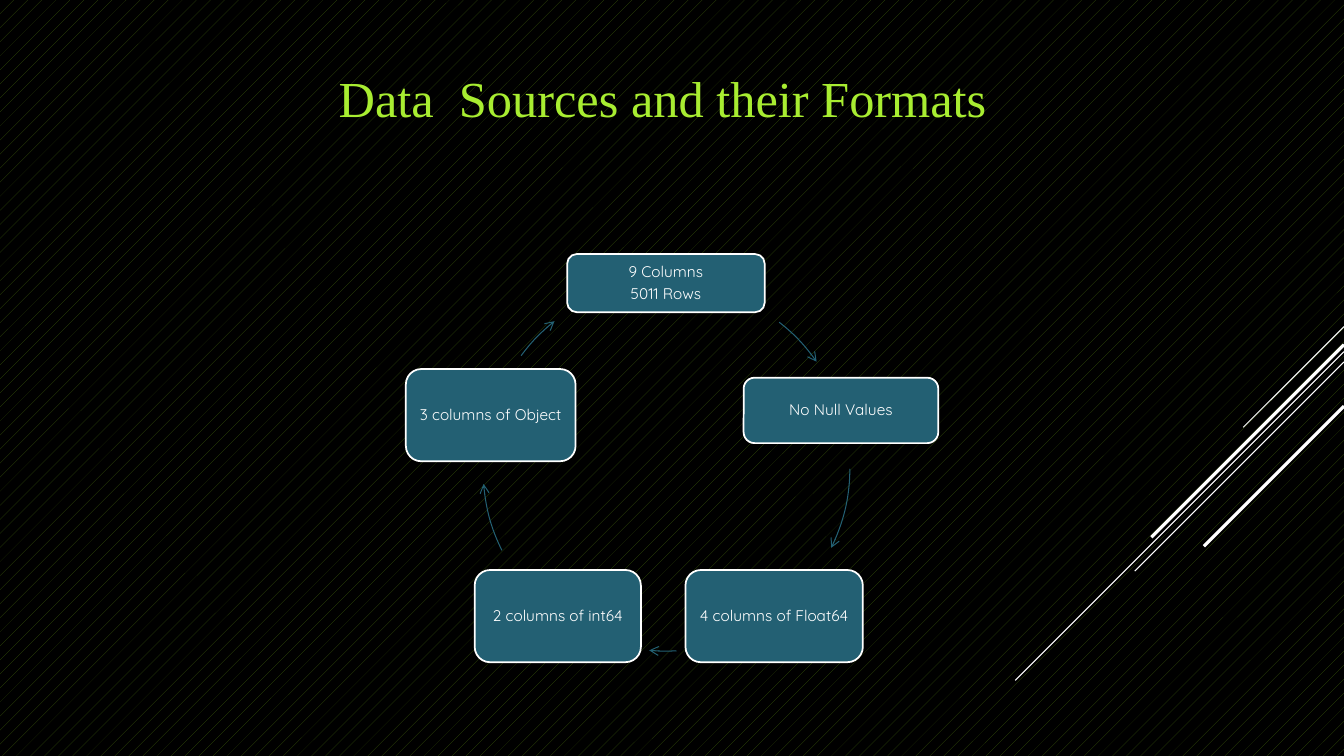
import math
from dataclasses import dataclass

import pptx
import pptx.dml.color
import pptx.enum.dml
import pptx.enum.shapes
import pptx.enum.text
import pptx.oxml
import pptx.oxml.ns
import pptx.util

RGBColor = pptx.dml.color.RGBColor
BLACK = RGBColor(0x00, 0x00, 0x00)
WHITE = RGBColor(0xFF, 0xFF, 0xFF)
TEAL = RGBColor(0x23, 0x60, 0x73)
LIME = RGBColor(0xA8, 0xED, 0x31)
DARK_GREEN = RGBColor(0x38, 0x54, 0x0A)

WIDTH = pptx.util.Inches(13.33)
HEIGHT = pptx.util.Inches(7.5)
NAMESPACE = pptx.oxml.ns.nsdecls("a")


@dataclass(frozen=True)
class Fact:
    lines: tuple[str, ...]
    left: float
    top: float
    width: float
    height: float


@dataclass(frozen=True)
class Arc:
    start: float
    end: float
    shift_x: float = 0
    shift_y: float = 0


@dataclass(frozen=True)
class Diagonal:
    top: float
    drop: float
    weight: float


FACTS = (
    Fact(("9 Columns", "5011 Rows"), 42.2, 33.6, 14.7, 7.7),
    Fact(("No Null Values",), 55.33, 49.97, 14.48, 8.65),
    Fact(("4 columns of Float64",), 51, 75.4, 13.2, 12.2),
    Fact(("2 columns of int64",), 35.32, 75.4, 12.37, 12.2),
    Fact(("3 columns of Object",), 30.2, 48.82, 12.63, 12.2),
)
ARCS = (
    Arc(-52, -35),
    Arc(0.5, 26),
    Arc(86.7, 95.2),
    Arc(153.8, 175.4, 0.08, 0.27),
    Arc(216.5, 231.5, 0.23, -0.27),
)
DIAGONALS = (
    Diagonal(43.2, 13.33, 0.75),
    Diagonal(46.53, 43.47, 0.75),
    Diagonal(47.87, 27.67, 0.75),
    Diagonal(45.6, 25.47, 2.25),
    Diagonal(53.73, 18.53, 2.25),
)
CENTRE_X, CENTRE_Y, RADIUS = 49.55, 61.8, 24.33


def across(share: float) -> int:
    return round(WIDTH * share / 100)


def down(share: float) -> int:
    return round(HEIGHT * share / 100)


def add_span(para, text: str, font: str, size: float, color: RGBColor) -> None:
    span = para.add_run()
    span.text = text
    span.font.name = font
    span.font.size = pptx.util.Pt(size)
    span.font.color.rgb = color


def set_line(shape, color: RGBColor, weight: float) -> None:
    shape.line.color.rgb = color
    shape.line.width = pptx.util.Pt(weight)


def add_diagonal(page, diagonal: Diagonal) -> None:
    reach = down(diagonal.drop)
    line = page.shapes.add_connector(
        pptx.enum.shapes.MSO_CONNECTOR.STRAIGHT,
        WIDTH, down(diagonal.top), WIDTH - reach, down(diagonal.top) + reach,
    )
    set_line(line, WHITE, diagonal.weight)
    line._element.spPr.append(pptx.oxml.parse_xml(f"<a:effectLst {NAMESPACE}/>"))


def add_fact(page, fact: Fact) -> None:
    box = page.shapes.add_shape(
        pptx.enum.shapes.MSO_SHAPE.ROUNDED_RECTANGLE,
        across(fact.left), down(fact.top), across(fact.width), down(fact.height),
    )
    box.shadow.inherit = False
    box.fill.solid()
    box.fill.fore_color.rgb = TEAL
    set_line(box, WHITE, 1.25)
    frame = box.text_frame
    frame.word_wrap = True
    frame.vertical_anchor = pptx.enum.text.MSO_ANCHOR.MIDDLE
    frame.margin_left = frame.margin_right = pptx.util.Inches(0.05)
    frame.margin_top = frame.margin_bottom = pptx.util.Inches(0.05)
    for index, text in enumerate(fact.lines):
        para = frame.add_paragraph() if index else frame.paragraphs[0]
        para.alignment = pptx.enum.text.PP_ALIGN.CENTER
        para.line_spacing = 0.9
        para.space_after = pptx.util.Pt(4)
        add_span(para, text, "Quicksand", 11, WHITE)


def add_arc(page, arc: Arc) -> None:
    radius = down(RADIUS)
    left = across(CENTRE_X + arc.shift_x) - radius
    top = down(CENTRE_Y + arc.shift_y) - radius
    builder = page.shapes.build_freeform(left, top)
    builder.add_line_segments([(left + 2 * radius, top + 2 * radius)], close=False)
    curve = builder.convert_to_shape()
    curve.shadow.inherit = False
    curve.fill.background()
    set_line(curve, TEAL, 0.75)

    angle = math.radians(arc.start)
    start_x = round(radius * (1 + math.cos(angle)))
    start_y = round(radius * (1 + math.sin(angle)))
    start_angle = round(arc.start % 360 * 60000)
    sweep = round((arc.end - arc.start) * 60000)
    outline = curve._element.spPr.find(".//" + pptx.oxml.ns.qn("a:path"))
    for segment in list(outline):
        outline.remove(segment)
    outline.append(pptx.oxml.parse_xml(
        f'<a:moveTo {NAMESPACE}><a:pt x="{start_x}" y="{start_y}"/></a:moveTo>'
    ))
    outline.append(pptx.oxml.parse_xml(
        f'<a:arcTo {NAMESPACE} wR="{radius}" hR="{radius}" stAng="{start_angle}" swAng="{sweep}"/>'
    ))
    curve.line._get_or_add_ln().append(
        pptx.oxml.parse_xml(f'<a:tailEnd {NAMESPACE} type="arrow"/>')
    )


def set_title(page, text: str) -> None:
    title = page.shapes.title
    title.left, title.top = across(24.45), down(8.2)
    title.width, title.height = across(50.5), down(9.47)
    frame = title.text_frame
    frame.word_wrap = True
    frame.vertical_anchor = pptx.enum.text.MSO_ANCHOR.TOP
    para = frame.paragraphs[0]
    para.alignment = pptx.enum.text.PP_ALIGN.LEFT
    add_span(para, text, "Times New Roman", 36, LIME)


deck = pptx.Presentation()
deck.slide_width = WIDTH
deck.slide_height = HEIGHT
page = deck.slides.add_slide(deck.slide_layouts.get_by_name("Title Only"))

backdrop = page.background.fill
backdrop.patterned()
backdrop.pattern = pptx.enum.dml.MSO_PATTERN.PERCENT_5
backdrop.fore_color.rgb = DARK_GREEN
backdrop.back_color.rgb = BLACK

for diagonal in DIAGONALS:
    add_diagonal(page, diagonal)
for fact, arc in zip(FACTS, ARCS):
    add_fact(page, fact)
    add_arc(page, arc)
set_title(page, "Data  Sources and their Formats")

deck.save("out.pptx")
